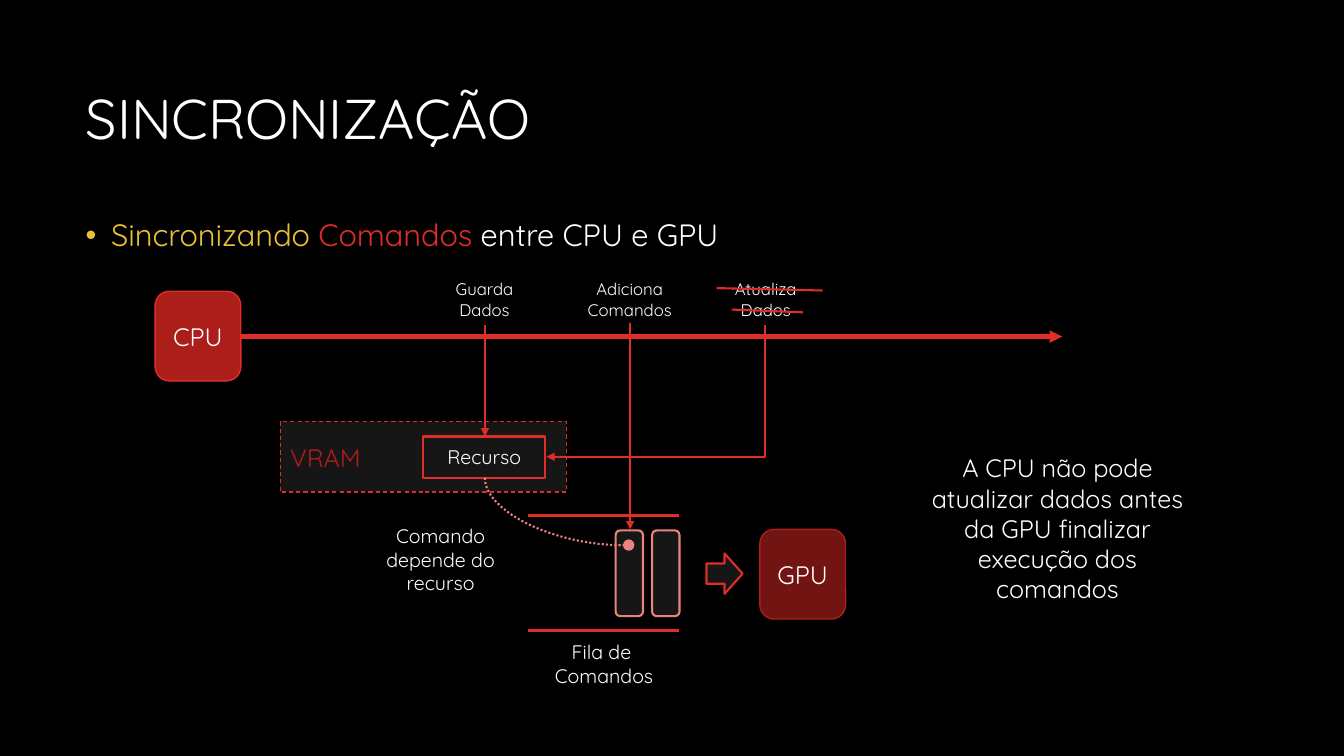
"""Builds the slide on synchronising commands between CPU and GPU."""
from dataclasses import dataclass
from typing import Optional

from lxml.etree import SubElement
from pptx import Presentation
from pptx.dml.color import RGBColor
from pptx.enum.dml import MSO_LINE as Dash
from pptx.enum.shapes import MSO_CONNECTOR as Link, MSO_SHAPE as Shape
from pptx.enum.text import MSO_ANCHOR as Anchor, PP_ALIGN as Align
from pptx.oxml.ns import qn
from pptx.util import Cm, Pt


@dataclass(frozen=True)
class Theme:
    font: str = "Quicksand"
    black: str = "000000"
    panel: str = "161616"
    white: str = "FFFFFF"
    yellow: str = "E9BF35"
    red: str = "DF2E28"
    dark_red: str = "AC1E1A"
    deep_red: str = "721411"
    pink: str = "EC827E"
    title: int = 40
    body: int = 22
    large: int = 18
    medium: int = 14
    small: int = 12


THEME = Theme()


@dataclass(frozen=True)
class Box:
    left: float
    top: float
    width: float
    height: float

    def lengths(self) -> tuple:
        return Cm(self.left), Cm(self.top), Cm(self.width), Cm(self.height)


@dataclass(frozen=True)
class Block:
    kind: Shape
    box: Box
    fill: str = THEME.panel
    line: str = THEME.red
    weight: float = 1.5
    dash: Optional[Dash] = None
    turn: int = 0
    text: str = ""
    size: int = THEME.large


@dataclass(frozen=True)
class Label:
    text: str
    box: Box
    size: int = THEME.medium
    color: str = THEME.white
    align: Align = Align.CENTER
    anchor: Anchor = Anchor.TOP
    wrap: bool = False
    spacing: float = 1.0


@dataclass(frozen=True)
class Wire:
    start: tuple
    end: tuple
    weight: float = 1.5
    color: str = THEME.red
    dash: Optional[Dash] = None
    arrow: bool = False
    preset: str = ""


QUEUE_LEFT, QUEUE_RIGHT = 13.31, 17.12
CAPTION_TOP = 6.91
CHIP = (2.16, 2.26)
SLOT = (14.1, 2.16, 0.69)

BLOCKS = [
    Block(Shape.RECTANGLE, Box(7.06, 10.62, 7.21, 1.78), weight=0.75, dash=Dash.DASH),
    Block(Shape.ROUNDED_RECTANGLE, Box(3.91, 7.34, *CHIP), THEME.dark_red, weight=1, text="CPU"),
    Block(Shape.ROUNDED_RECTANGLE, Box(19.15, 13.34, *CHIP), THEME.deep_red, THEME.dark_red, 1, text="GPU"),
    *(Block(Shape.ROUNDED_RECTANGLE, Box(left, *SLOT), line=THEME.pink, turn=270) for left in (15.7, 14.78)),
    Block(Shape.DOWN_ARROW, Box(17.75, 14.0, 1.02, 0.91), turn=270),
    Block(Shape.RECTANGLE, Box(10.67, 11.0, 3.07, 1.04), text="Recurso", size=THEME.medium),
    Block(Shape.OVAL, Box(15.72, 13.61, 0.25, 0.25), THEME.pink, THEME.pink, 1),
]

LABELS = [
    Label("SINCRONIZAÇÃO", Box(1.91, 1.27, 30.05, 3.58), THEME.title,
          align=Align.LEFT, anchor=Anchor.MIDDLE, wrap=True, spacing=0.9),
    Label("A CPU não pode atualizar dados antes da GPU finalizar execução dos comandos",
          Box(22.94, 11.28, 7.42, 4.11), THEME.large, wrap=True),
    Label("Fila de \vComandos", Box(13.61, 16.0, 3.23, 1.45)),
    Label("VRAM", Box(7.06, 11.02, 2.41, 1.02), THEME.large, THEME.dark_red, Align.LEFT),
    Label("Comando depende do recurso", Box(9.3, 13.08, 3.61, 2.06), wrap=True),
    Label("Guarda\vDados", Box(11.13, CAPTION_TOP, 2.16, 1.27), THEME.small),
    Label("Adiciona\nComandos", Box(14.45, CAPTION_TOP, 2.84, 1.27), THEME.small),
    Label("Atualiza\vDados", Box(18.21, CAPTION_TOP, 2.18, 1.27), THEME.small),
]

WIRES = [
    *(Wire((QUEUE_RIGHT, y), (QUEUE_LEFT, y), 2.25) for y in (15.88, 12.98)),
    Wire((17.98, 15.8), (17.98, 15.8), 0.75),
    Wire((6.07, 8.48), (26.77, 8.48), 3, arrow=True),
    Wire((12.22, 8.18), (12.22, 11.0), arrow=True),
    Wire((15.88, 8.15), (15.88, 13.34), arrow=True),
    Wire((19.28, 8.18), (13.77, 11.51), arrow=True, preset="bentConnector2"),
    Wire((12.22, 12.04), (15.72, 13.74), color=THEME.pink, dash=Dash.ROUND_DOT, preset="curvedConnector2"),
    Wire((18.06, 7.26), (20.73, 7.32)),
    Wire((18.44, 7.8), (20.24, 7.87)),
]


def style_span(span, *, size: int, color: str) -> None:
    span.font.name = THEME.font
    span.font.size = Pt(size)
    span.font.color.rgb = RGBColor.from_string(color)


def write_text(frame, text: str, *, size: int, color: str = THEME.white, align: Align = Align.CENTER,
               anchor: Anchor = Anchor.MIDDLE, wrap: bool = True, spacing: float = 1.0) -> None:
    frame.text = text
    frame.word_wrap = wrap
    frame.vertical_anchor = anchor
    for para in frame.paragraphs:
        para.alignment = align
        para.line_spacing = spacing
        for span in para.runs:
            style_span(span, size=size, color=color)


def style_line(line, item) -> None:
    line.color.rgb = RGBColor.from_string(item.line if isinstance(item, Block) else item.color)
    line.width = Pt(item.weight)
    if item.dash is not None:
        line.dash_style = item.dash


def draw_block(page, block: Block) -> None:
    shape = page.shapes.add_shape(block.kind, *block.box.lengths())
    shape.shadow.inherit = False
    shape.rotation = block.turn
    shape.fill.solid()
    shape.fill.fore_color.rgb = RGBColor.from_string(block.fill)
    style_line(shape.line, block)
    if block.text:
        write_text(shape.text_frame, block.text, size=block.size)


def draw_label(page, label: Label) -> None:
    box = page.shapes.add_textbox(*label.box.lengths())
    write_text(box.text_frame, label.text, size=label.size, color=label.color, align=label.align,
               anchor=label.anchor, wrap=label.wrap, spacing=label.spacing)


def draw_wire(page, wire: Wire) -> None:
    (x1, y1), (x2, y2) = wire.start, wire.end
    rightward = x2 > x1
    if wire.preset:
        middle_x, middle_y = (x1 + x2) / 2, (y1 + y2) / 2
        reach, drop = abs(y2 - y1) / 2, abs(x2 - x1) / 2
        side = 1 if rightward else -1
        x1, x2 = middle_x + side * reach, middle_x - side * reach
        y1, y2 = middle_y - drop, middle_y + drop
    connector = page.shapes.add_connector(Link.STRAIGHT, Cm(x1), Cm(y1), Cm(x2), Cm(y2))
    style_line(connector.line, wire)
    props = connector.element.spPr
    if wire.preset:
        props.find(qn("a:prstGeom")).set("prst", wire.preset)
        props.find(qn("a:xfrm")).set("rot", str((270 if rightward else 90) * 60000))
    if wire.arrow:
        SubElement(props.find(qn("a:ln")), qn("a:tailEnd"), type="triangle")
    SubElement(props, qn("a:effectLst"))


def draw_topic(page) -> None:
    frame = page.shapes.add_textbox(*Box(1.91, 5.23, 30.05, 11.91).lengths()).text_frame
    frame.word_wrap = True
    para = frame.paragraphs[0]
    para.line_spacing = 1.1
    para.space_before = Pt(10)
    props = para._p.get_or_add_pPr()
    props.set("marL", str(Cm(0.64)))
    props.set("indent", str(-Cm(0.64)))
    SubElement(props, qn("a:buFont"), typeface="Arial")
    SubElement(props, qn("a:buChar"), char="•")
    for text, color in (("Sincronizando ", THEME.yellow), ("Comandos", THEME.red),
                        (" entre CPU e GPU", THEME.white)):
        span = para.add_run()
        span.text = text
        style_span(span, size=THEME.body, color=color)


def main() -> None:
    deck = Presentation()
    deck.slide_width, deck.slide_height = Cm(33.87), Cm(19.05)
    page = deck.slides.add_slide(deck.slide_layouts[6])
    page.background.fill.solid()
    page.background.fill.fore_color.rgb = RGBColor.from_string(THEME.black)
    draw_topic(page)
    for items, draw in ((BLOCKS, draw_block), (LABELS, draw_label), (WIRES, draw_wire)):
        for item in items:
            draw(page, item)
    deck.save("out.pptx")


if __name__ == "__main__":
    main()
